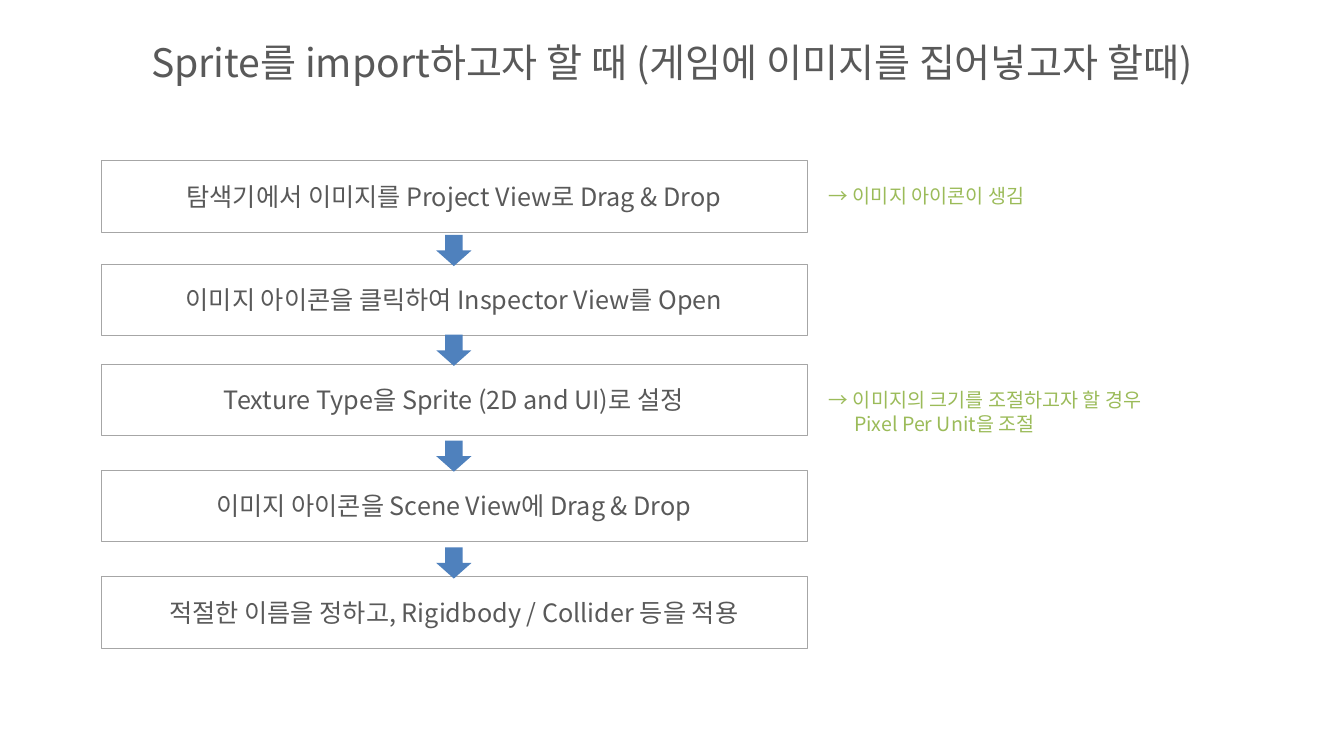
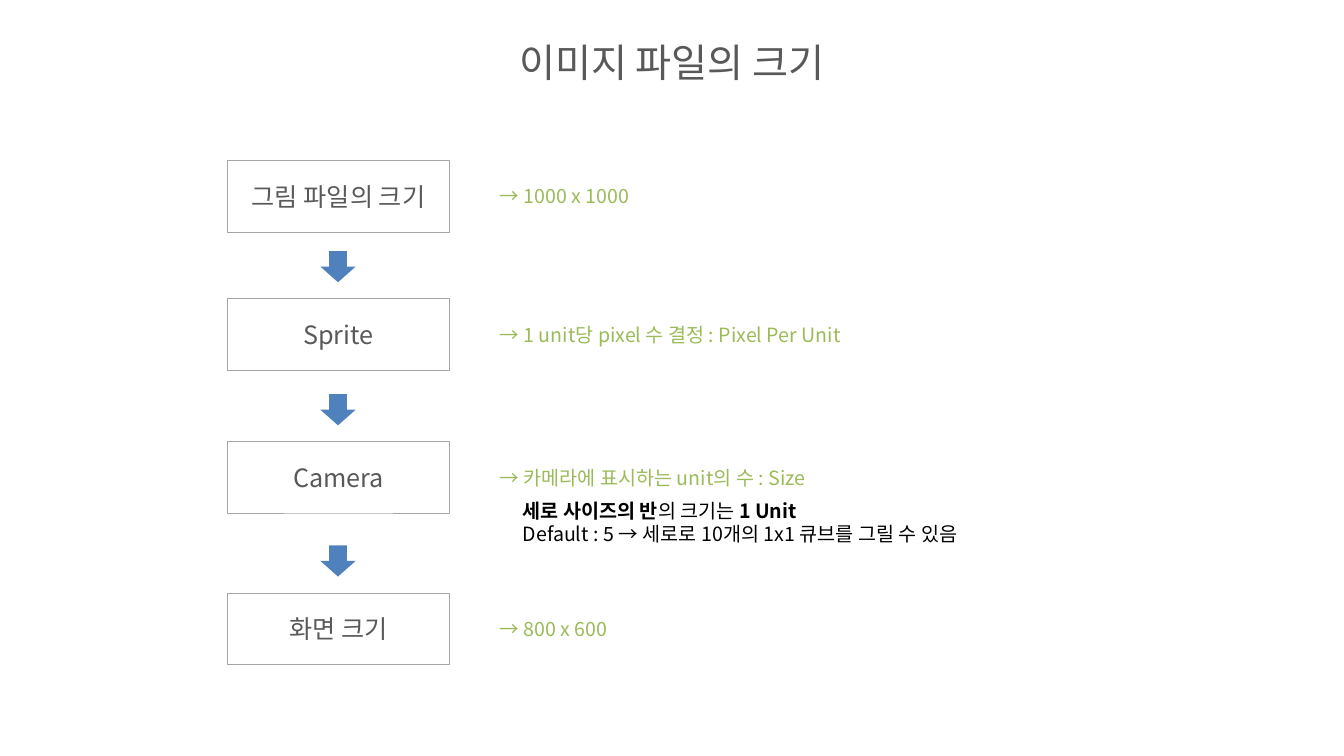
from lxml.etree import SubElement
from pptx import Presentation
from pptx.dml.color import RGBColor
from pptx.enum.shapes import MSO_SHAPE
from pptx.enum.text import MSO_ANCHOR, MSO_AUTO_SIZE, PP_ALIGN
from pptx.oxml.ns import qn
from pptx.util import Pt

EMU_PER_PX = 9144
FONT = "Noto Sans CJK KR"
GREY, BORDER, WHITE = "595959", "A6A6A6", "FFFFFF"
BLUE, GREEN, BLACK = "4F81BD", "9BBB59", "000000"
STEP_HEIGHT, NOTE_OFFSET, NOTE_INDENT = 71, 19, 25
ARROW_WIDTH, ARROW_HEIGHT = 35, 31
TITLE_BOX = (67, 30, 1200, 62)
TITLE_FRAME = {"vertical_anchor": MSO_ANCHOR.MIDDLE, "auto_size": MSO_AUTO_SIZE.NONE,
               "margin_left": 13, "margin_right": 13, "margin_top": 6, "margin_bottom": 6}
STEP_FRAME = {"vertical_anchor": MSO_ANCHOR.MIDDLE, "word_wrap": True}
NOTE_FRAME = {"word_wrap": True, "auto_size": MSO_AUTO_SIZE.SHAPE_TO_FIT_TEXT}

IMPORT_STEPS = [
    (159, "탐색기에서 이미지를 Project View로 Drag & Drop"),
    (262, "이미지 아이콘을 클릭하여 Inspector View를 Open"),
    (361, "Texture Type을 Sprite (2D and UI)로 설정"),
    (466, "이미지 아이콘을 Scene View에 Drag & Drop"),
    (572, "적절한 이름을 정하고, Rigidbody / Collider 등을 적용"),
]
IMPORT_NOTES = [
    (159, 237, ["→ 이미지 아이콘이 생김"]),
    (361, 368, ["→ 이미지의 크기를 조절하고자 할 경우", "Pixel Per Unit을 조절"]),
]
SIZE_STEPS = [(159, "그림 파일의 크기"), (296, "Sprite"), (438, "Camera"), (588, "화면 크기")]
SIZE_NOTES = [
    (159, 156, ["→ 1000 x 1000"]),
    (296, 376, ["→ 1 unit당 pixel 수 결정 : Pixel Per Unit"]),
    (438, 351, ["→ 카메라에 표시하는 unit의 수 : Size"]),
    (588, 134, ["→ 800 x 600"]),
]
CAMERA_DETAIL = [
    [("세로 사이즈의 반", True), ("의 크기는 ", False), ("1 Unit", True)],
    [("Default : 5 → 세로로 10개의 1x1 큐브를 그릴 수 있음", False)],
]


def px(length):
    """Turn px into EMU."""
    return length * EMU_PER_PX


def color(hex_code):
    """Turn a hex string into a colour."""
    return RGBColor.from_string(hex_code)


def apply(target, values):
    """Set attributes from a dict, with margins in px."""
    for key, value in values.items():
        setattr(target, key, px(value) if key.startswith("margin") else value)


def add_words(paragraph, words, size, ink, bold=False):
    """Append a run in the deck font for Latin and Korean."""
    run = paragraph.add_run()
    run.text = words
    apply(run.font, {"name": FONT, "size": Pt(size), "bold": bold})
    run.font.color.rgb = color(ink)
    SubElement(run.font._element, qn("a:ea")).set("typeface", FONT)


def write_lines(frame, lines, size, ink, align=PP_ALIGN.LEFT, indent=0):
    """Write lines of (words, bold) pairs, indenting all but the first."""
    for index, line in enumerate(lines):
        paragraph = frame.add_paragraph() if index else frame.paragraphs[0]
        paragraph.alignment = align
        if index and indent:
            paragraph._p.get_or_add_pPr().set("marL", str(px(indent)))
        for words, bold in line:
            add_words(paragraph, words, size, ink, bold)


def add_filled(slide, preset, box, fill):
    """Add a flat preset shape without an outline."""
    shape = slide.shapes.add_shape(preset, *map(px, box))
    shape.shadow.inherit = False
    shape.fill.solid()
    shape.fill.fore_color.rgb = color(fill)
    shape.line.fill.background()
    return shape


def add_step(slide, box, words):
    """Add an outlined step with centred words."""
    step = add_filled(slide, MSO_SHAPE.RECTANGLE, box, WHITE)
    step.line.color.rgb = color(BORDER)
    step.line.width = Pt(0.25)
    apply(step.text_frame, STEP_FRAME)
    write_lines(step.text_frame, [[(words, False)]], 18, GREY, PP_ALIGN.CENTER)


def add_flow(slide, left, width, steps, arrow_lead):
    """Stack steps, with an arrow that starts arrow_lead above each later one."""
    arrow_left = left + (width - ARROW_WIDTH) // 2
    for index, (top, words) in enumerate(steps):
        add_step(slide, (left, top, width, STEP_HEIGHT), words)
        if index:
            arrow_box = (arrow_left, top - arrow_lead, ARROW_WIDTH, ARROW_HEIGHT)
            add_filled(slide, MSO_SHAPE.DOWN_ARROW, arrow_box, BLUE)


def add_note(slide, box, lines, ink, indent=0):
    """Add a wrapped text box of note lines."""
    note = slide.shapes.add_textbox(*map(px, box))
    apply(note.text_frame, NOTE_FRAME)
    write_lines(note.text_frame, lines, 14, ink, indent=indent)


def add_notes(slide, left, notes):
    """Place green notes beside the steps that start at the given tops."""
    for step_top, width, lines in notes:
        box = (left, step_top + NOTE_OFFSET, width, 11 + 23 * len(lines))
        add_note(slide, box, [[(line, False)] for line in lines], GREEN, NOTE_INDENT)


def prepare_layout(deck):
    """Set the shared title place on the title-only layout."""
    layout = deck.slide_layouts[5]
    title = layout.placeholders[0]
    apply(title, dict(zip(("left", "top", "width", "height"), map(px, TITLE_BOX))))
    return layout


def add_titled_slide(deck, layout, heading):
    """Add a slide with the shared title style."""
    slide = deck.slides.add_slide(layout)
    frame = slide.shapes.title.text_frame
    apply(frame, TITLE_FRAME)
    write_lines(frame, [[(heading, False)]], 28, GREY, PP_ALIGN.CENTER)
    return slide


def build_import_slide(deck, layout):
    """Build the sprite import procedure."""
    slide = add_titled_slide(deck, layout, "Sprite를 import하고자 할 때 (게임에 이미지를 집어넣고자 할때)")
    add_flow(slide, 100, 701, IMPORT_STEPS, 29)
    add_notes(slide, 813, IMPORT_NOTES)


def build_size_slide(deck, layout):
    """Build the path from file size to screen size."""
    slide = add_titled_slide(deck, layout, "이미지 파일의 크기")
    add_flow(slide, 226, 220, SIZE_STEPS, 47)
    add_notes(slide, 486, SIZE_NOTES)
    add_note(slide, (509, 490, 667, 57), CAMERA_DETAIL, BLACK)


def main():
    """Build and save the deck."""
    deck = Presentation()
    apply(deck, {"slide_width": px(1334), "slide_height": px(750)})
    layout = prepare_layout(deck)
    build_import_slide(deck, layout)
    build_size_slide(deck, layout)
    deck.save("out.pptx")


if __name__ == "__main__":
    main()
